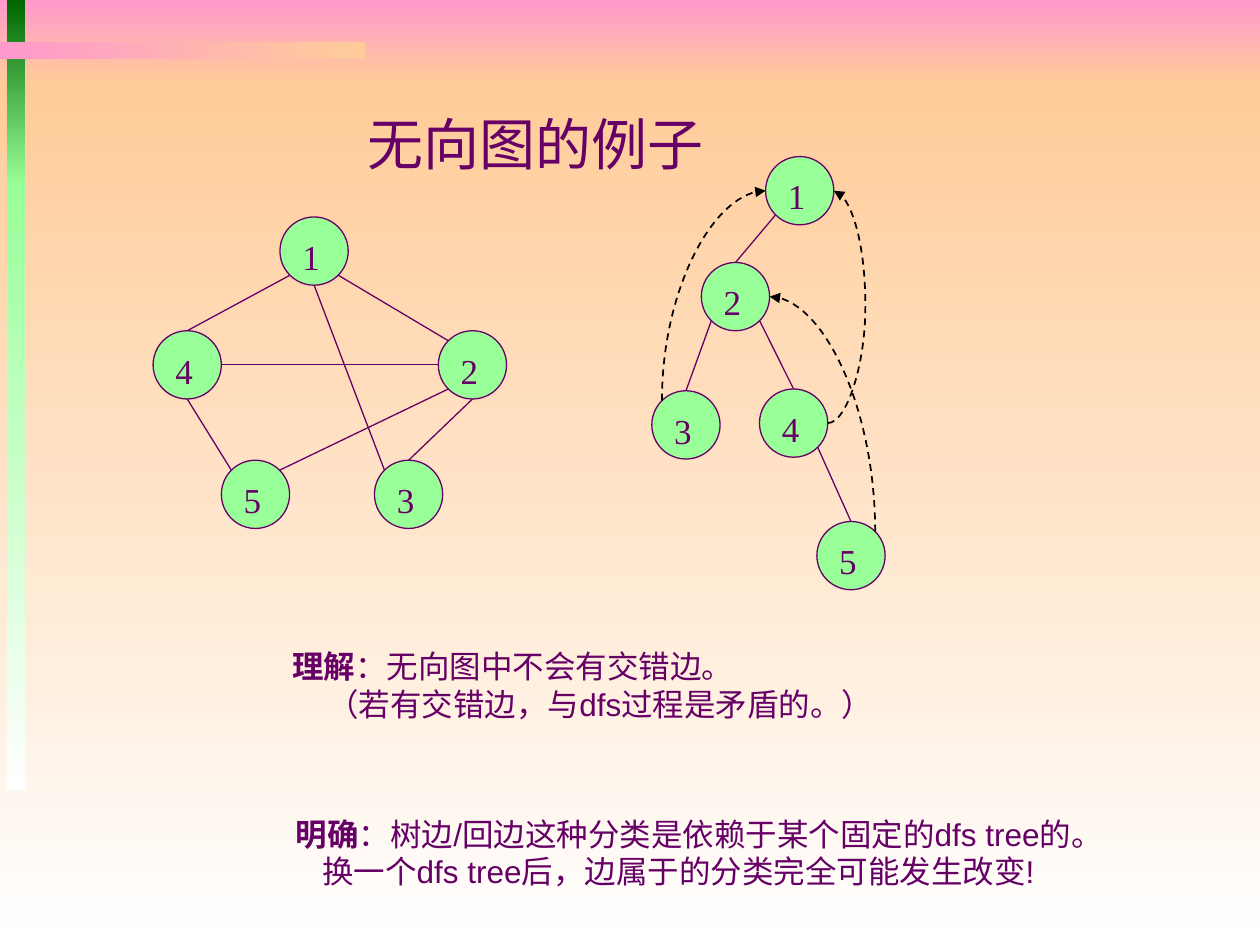
from lxml.etree import SubElement
from pptx import Presentation
from pptx.dml.color import RGBColor
from pptx.enum.dml import MSO_LINE
from pptx.enum.shapes import MSO_CONNECTOR, MSO_SHAPE
from pptx.enum.text import MSO_ANCHOR, MSO_AUTO_SIZE, PP_ALIGN
from pptx.oxml.ns import qn
from pptx.util import Pt

PURPLE, GREEN, PINK, PEACH = "660066", "99FF99", "FF99CC", "FFCC99"
WHITE, BLACK = "FFFFFF", "000000"
NODE_SIZE = 39
DIAGONAL = 0.707
SITES = {
    "top": (0, -1), "bottom": (0, 1), "left": (-1, 0), "right": (1, 0),
    "top left": (-DIAGONAL, -DIAGONAL), "top right": (DIAGONAL, -DIAGONAL),
    "bottom left": (-DIAGONAL, DIAGONAL), "bottom right": (DIAGONAL, DIAGONAL),
}


def color(value):
    return RGBColor.from_string(value)


def style(font, size, name):
    font.size = Pt(size)
    font.name = name
    font.color.rgb = color(PURPLE)


def add_gradient_bar(page, box, first, last, angle=270):
    bar = page.shapes.add_shape(MSO_SHAPE.RECTANGLE, *map(Pt, box))
    bar.shadow.inherit = False
    bar.line.fill.background()
    bar.fill.gradient()
    bar.fill.gradient_angle = angle
    for stop, value, position in zip(bar.fill.gradient_stops, (first, last), (0, 1)):
        stop.color.rgb = color(value)
        stop.position = position


def add_backdrop(page, width, height):
    band = 48
    add_gradient_bar(page, (0, 0, width, band), PINK, PEACH)
    add_gradient_bar(page, (0, band, width, height - band), PEACH, WHITE)
    add_gradient_bar(page, (4, 0, 10.3, 106), "006600", GREEN)
    add_gradient_bar(page, (4, 105, 10.3, 346.5), GREEN, WHITE)
    add_gradient_bar(page, (0, 24, 208.5, 9.7), PINK, PEACH, 0)


def add_title(page, box, text):
    title = page.shapes.title
    title.left, title.top, title.width, title.height = map(Pt, box)
    # Bring the title in front of the backdrop
    title.element.getparent().append(title.element)
    frame = title.text_frame
    frame.text = text
    frame.vertical_anchor = MSO_ANCHOR.TOP
    frame.auto_size = MSO_AUTO_SIZE.NONE
    para = frame.paragraphs[0]
    para.alignment = PP_ALIGN.LEFT
    style(para.font, 32, "Arial")


def add_node(page, left, top, label):
    node = page.shapes.add_shape(
        MSO_SHAPE.OVAL, Pt(left), Pt(top), Pt(NODE_SIZE), Pt(NODE_SIZE))
    node.shadow.inherit = False
    node.fill.solid()
    node.fill.fore_color.rgb = color(GREEN)
    node.line.color.rgb = color(PURPLE)
    node.line.width = Pt(0.75)
    frame = node.text_frame
    frame.text = label
    frame.margin_top, frame.margin_bottom = Pt(6), 0
    frame.vertical_anchor = MSO_ANCHOR.MIDDLE
    para = frame.paragraphs[0]
    para.alignment = PP_ALIGN.LEFT
    style(para.font, 20, "Times New Roman")


def add_line(page, kind, start, end, value, width):
    line = page.shapes.add_connector(kind, *map(Pt, (*start, *end)))
    line.line.color.rgb = color(value)
    line.line.width = Pt(width)
    SubElement(line.element.spPr, qn("a:effectLst"))
    return line


def add_back_edge(page, start, end, bulge=None):
    """Dashed curved arrow: a quarter turn, or an arc reaching bulge points out."""
    curve = add_line(page, MSO_CONNECTOR.CURVE, start, end, BLACK, 1)
    curve.line.dash_style = MSO_LINE.DASH
    SubElement(curve.line._get_or_add_ln(), qn("a:tailEnd"), type="triangle")
    geometry = curve.element.spPr.find(qn("a:prstGeom"))
    across, up = end[0] - start[0], start[1] - end[1]
    if bulge is not None:
        guides = geometry.find(qn("a:avLst"))
        if guides is None:
            guides = SubElement(geometry, qn("a:avLst"))
        SubElement(guides, qn("a:gd"), name="adj1",
                   fmla=f"val {round(bulge / across * 100000)}")
        return
    # The turned box swaps width and height about the same centre
    geometry.set("prst", "curvedConnector2")
    middle_x, middle_y = (start[0] + end[0]) / 2, (start[1] + end[1]) / 2
    curve.left, curve.top = Pt(middle_x - up / 2), Pt(middle_y - abs(across) / 2)
    curve.width, curve.height = Pt(up), Pt(abs(across))
    transform = curve.element.spPr.find(qn("a:xfrm"))
    rightward = across > 0
    transform.set("rot", str((90 if rightward else 270) * 60000))
    transform.set("flipH", "1" if rightward else "0")
    transform.set("flipV", "1")


def add_graph(page, origin, nodes, edges, back_edges=()):
    def site(label, side):
        return [corner + offset + NODE_SIZE / 2 * (1 + unit)
                for corner, offset, unit in zip(origin, nodes[label], SITES[side])]

    for label, (x, y) in nodes.items():
        add_node(page, origin[0] + x, origin[1] + y, label)
    for begin, begin_side, end, end_side in edges:
        add_line(page, MSO_CONNECTOR.STRAIGHT, site(begin, begin_side),
                 site(end, end_side), PURPLE, 0.75)
    for begin, begin_side, end, end_side, *bulge in back_edges:
        add_back_edge(page, site(begin, begin_side), site(end, end_side), *bulge)


def add_note(page, box, heading, first, second, indent):
    frame = page.shapes.add_textbox(*map(Pt, box)).text_frame
    frame.word_wrap = True
    para = frame.paragraphs[0]
    span = para.add_run()
    span.text = heading
    span.font.bold = True
    para.add_run().text = first
    follow = frame.add_paragraph()
    follow.add_run().text = second
    follow._p.get_or_add_pPr().set("marL", str(Pt(indent)))
    for para in frame.paragraphs:
        for span in para.runs:
            style(span.font, 18, "Arial")


def main():
    deck = Presentation()
    deck.slide_width, deck.slide_height = Pt(720), Pt(540)
    page = deck.slides.add_slide(deck.slide_layouts[5])
    add_backdrop(page, 720, 540)

    # Undirected graph
    add_graph(
        page, (87.5, 124),
        {"1": (72.5, 0), "4": (0, 65), "2": (163, 65), "3": (126.5, 139), "5": (39, 139)},
        [("1", "bottom right", "2", "top left"),
         ("2", "bottom", "3", "top"),
         ("2", "left", "4", "right"),
         ("1", "bottom left", "4", "top"),
         ("4", "bottom", "5", "top left"),
         ("5", "top right", "2", "bottom left"),
         ("3", "top left", "1", "bottom")])

    # Depth-first tree with its back edges
    add_graph(
        page, (372.5, 89.5),
        {"1": (65, 0), "2": (28.3, 60.5), "3": (0, 133.8), "4": (61.5, 132.8),
         "5": (94.3, 208.5)},
        [("1", "bottom left", "2", "top"),
         ("2", "bottom left", "3", "top"),
         ("2", "bottom right", "4", "top"),
         ("4", "bottom right", "5", "top")],
        [("5", "top right", "2", "right"),
         ("3", "top left", "1", "left"),
         ("4", "right", "1", "right", 21.6)])

    # Notes and title
    add_note(page, (160, 366, 395, 51), "理解", "：无向图中不会有交错边。",
             "（若有交错边，与dfs过程是矛盾的。）", 20)
    add_note(page, (162, 462, 491, 51), "明确",
             "：树边/回边这种分类是依赖于某个固定的dfs tree的。",
             "换一个dfs tree后，边属于的分类完全可能发生改变!", 15)
    add_title(page, (203, 59, 360, 46), "无向图的例子")
    deck.save("out.pptx")


if __name__ == "__main__":
    main()
